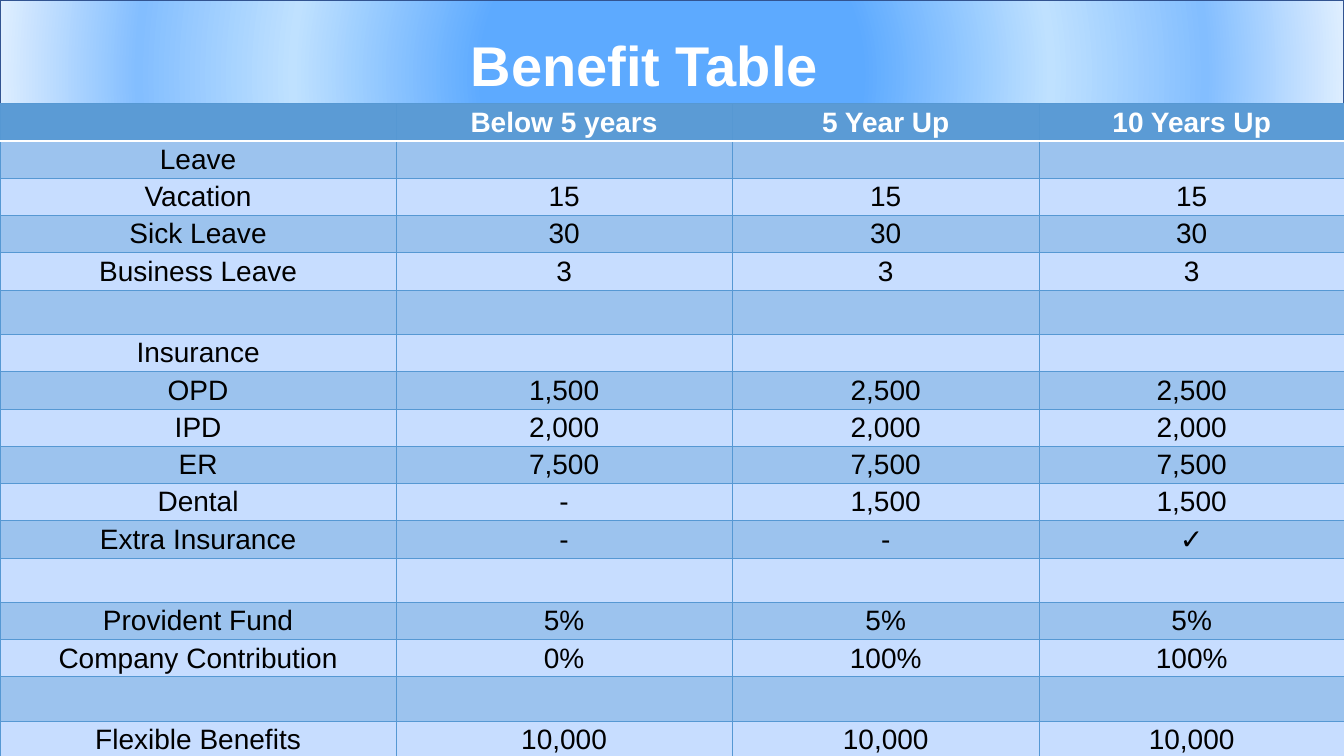
"""Build a benefit table slide with a gradient title band."""
from lxml import etree
from pptx import Presentation
from pptx.dml.color import RGBColor
from pptx.enum.shapes import MSO_SHAPE
from pptx.enum.text import MSO_ANCHOR, MSO_AUTO_SIZE, PP_ALIGN
from pptx.oxml import parse_xml
from pptx.oxml.ns import nsdecls, qn
from pptx.util import Inches, Pt

RECT = MSO_SHAPE.RECTANGLE
CENTER = PP_ALIGN.CENTER
MIDDLE, BOTTOM = MSO_ANCHOR.MIDDLE, MSO_ANCHOR.BOTTOM
NO_AUTOFIT = MSO_AUTO_SIZE.NONE

FONT = "Arial"
HEADER, DARK, LIGHT, GRID = "5B9BD5", "9CC3EE", "C7DDFF", "5698D3"
BAND_STOPS = [(0, "5DAAFF"), (28, "5DAAFF"), (56, "BFE1FF"), (79, "83BEFF"), (100, "E0EFFF")]
COLUMNS = [3.93, 3.33, 3.05, 3.02]
ROW, GAP_ROW = 0.37, 0.44
BENEFITS = [
    ["", "Below 5 years", "5 Year Up", "10 Years Up"],
    ["Leave", "", "", ""],
    ["Vacation", "15", "15", "15"],
    ["Sick Leave", "30", "30", "30"],
    ["Business Leave", "3", "3", "3"],
    ["", "", "", ""],
    ["Insurance", "", "", ""],
    ["OPD", "1,500", "2,500", "2,500"],
    ["IPD", "2,000", "2,000", "2,000"],
    ["ER", "7,500", "7,500", "7,500"],
    ["Dental", "-", "1,500", "1,500"],
    ["Extra Insurance", "-", "-", "✓"],
    ["", "", "", ""],
    ["Provident Fund", "5%", "5%", "5%"],
    ["Company Contribution", "0%", "100%", "100%"],
    ["", "", "", ""],
    ["Flexible Benefits", "10,000", "10,000", "10,000"],
]


def rgb(value):
    return RGBColor.from_string(value)


def style(p, size, color, bold):
    p.alignment = CENTER
    p.font.name, p.font.size, p.font.bold = FONT, Pt(size), bold
    p.font.color.rgb = rgb(color)


prs = Presentation()
prs.slide_width, prs.slide_height = Inches(13.33), Inches(7.5)
s = prs.slides.add_slide(prs.slide_layouts[5])

band = s.shapes.add_shape(RECT, 0, 0, prs.slide_width, Inches(1.49))
band.shadow.inherit = False
band.line.color.rgb = rgb("325491")
band.line.width = Pt(2)
stops = "".join(
    f'<a:gs pos="{pos * 1000}"><a:srgbClr val="{color}"/></a:gs>' for pos, color in BAND_STOPS
)
gradient = parse_xml(
    f'<a:gradFill {nsdecls("a")} rotWithShape="1"><a:gsLst>{stops}</a:gsLst>'
    '<a:path path="circle"><a:fillToRect l="50000" t="50000" r="50000" b="50000"/></a:path>'
    "</a:gradFill>"
)
band._element.spPr.find(qn("a:prstGeom")).addnext(gradient)
s.shapes._spTree.insert(2, band._element)

title = s.shapes.title
title.left, title.top = Inches(0.64), Inches(0.01)
title.width, title.height = Inches(11.5), Inches(1.02)
tf = title.text_frame
tf.text = "Benefit Table"
tf.word_wrap = True
tf.auto_size = NO_AUTOFIT
tf.vertical_anchor = BOTTOM
p = tf.paragraphs[0]
p.line_spacing = 0.9
p.space_after = Pt(6)
style(p, 40, "FFFFFF", True)

heights = [ROW if any(row) else GAP_ROW for row in BENEFITS]
table = s.shapes.add_table(
    len(BENEFITS), len(COLUMNS), 0, Inches(1.03), prs.slide_width, Inches(sum(heights))
).table
for column, width in zip(table.columns, COLUMNS):
    column.width = Inches(width)
for row, height in zip(table.rows, heights):
    row.height = Inches(height)

for r, values in enumerate(BENEFITS):
    is_header = r == 0
    fill = HEADER if is_header else DARK if r % 2 else LIGHT
    borders = {side: (GRID, 0.75) for side in "LRTB"}
    if r < 2:
        borders["B" if is_header else "T"] = ("FFFFFF", 2)
    for c, value in enumerate(values):
        cell = table.cell(r, c)
        cell.text = value
        cell.vertical_anchor = MIDDLE
        cell.margin_left = cell.margin_right = cell.margin_top = cell.margin_bottom = 0
        style(cell.text_frame.paragraphs[0], 20, "FFFFFF" if is_header else "000000", is_header)
        cell.fill.solid()
        cell.fill.fore_color.rgb = rgb(fill)
        tcPr = cell._tc.get_or_add_tcPr()
        for i, (side, (color, width)) in enumerate(borders.items()):
            ln = etree.Element(qn(f"a:ln{side}"), w=str(Pt(width)))
            solid = etree.SubElement(ln, qn("a:solidFill"))
            etree.SubElement(solid, qn("a:srgbClr"), val=color)
            tcPr.insert(i, ln)

prs.save("out.pptx")
